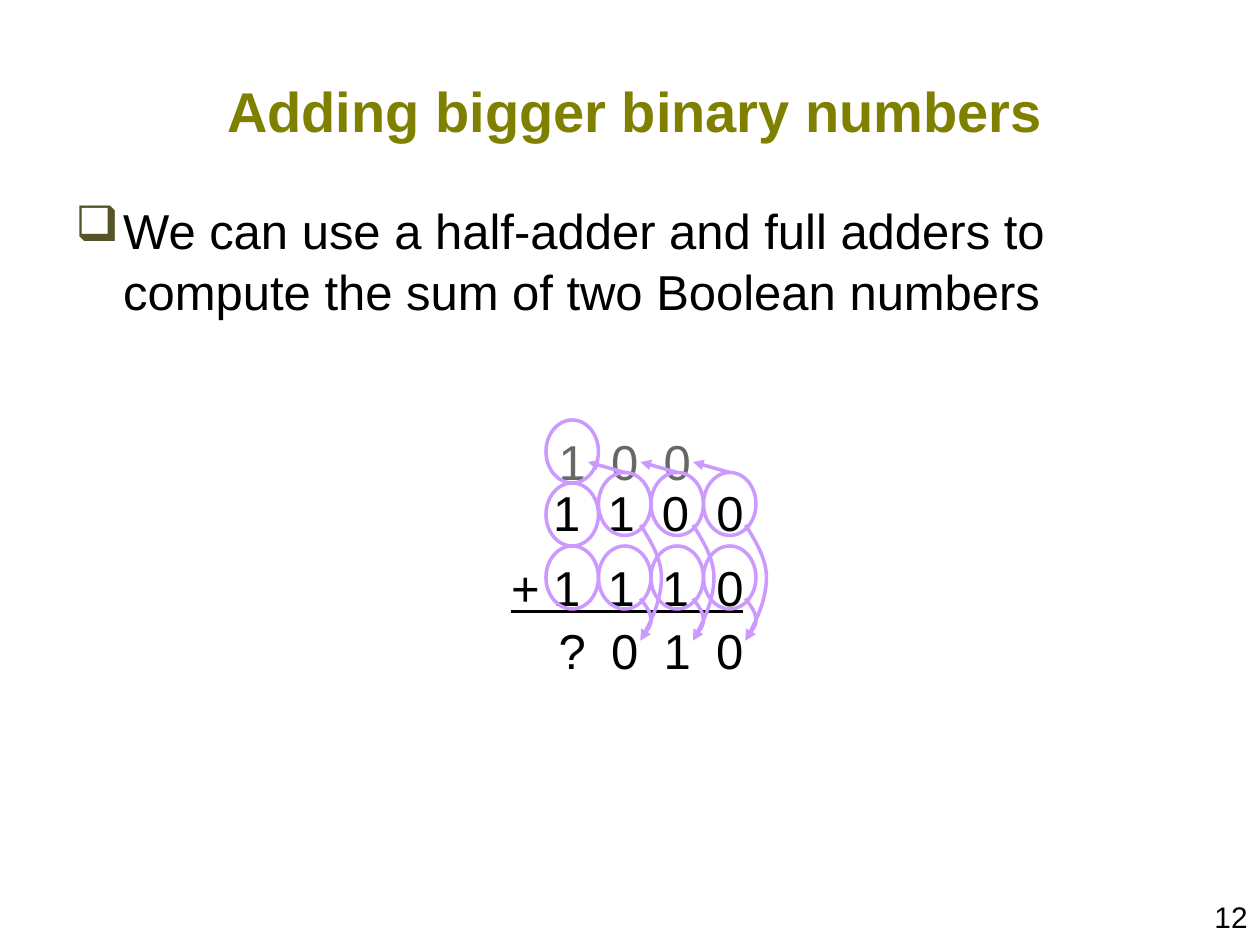
from pptx import Presentation
from pptx.dml.color import RGBColor
from pptx.enum.shapes import MSO_CONNECTOR as CONNECTOR, MSO_SHAPE as SHAPE
from pptx.enum.text import MSO_ANCHOR as ANCHOR, PP_ALIGN as ALIGN
from pptx.oxml import parse_xml
from pptx.oxml.ns import nsdecls
from pptx.oxml.xmlchemy import OxmlElement
from pptx.util import Inches, Pt

presentation = Presentation()
presentation.slide_width, presentation.slide_height = Inches(10), Inches(7.5)
slide = presentation.slides.add_slide(presentation.slide_layouts[5])
shapes = slide.shapes

UNIT = presentation.slide_width // 120
COLUMN = 5
FIRST_COLUMN = 52
LILAC = "CC99FF"


def write(shape, lines, size=28, color="000000", bold=False, align=ALIGN.LEFT,
          anchor=ANCHOR.TOP, top=0.05, gap=0, spacing=1.0, bullet=None, underlined=()):
    frame = shape.text_frame
    frame.word_wrap = True
    frame.vertical_anchor = anchor
    frame.margin_left = frame.margin_right = Inches(0.1)
    frame.margin_top, frame.margin_bottom = Inches(top), Inches(0.05)
    for index, line in enumerate(lines):
        paragraph = frame.add_paragraph() if index else frame.paragraphs[0]
        paragraph.alignment = align
        paragraph.line_spacing = spacing
        paragraph.space_before = Pt(gap if index else 0)
        if bullet:
            properties = paragraph._p.get_or_add_pPr()
            properties.set("marL", str(Inches(0.38)))
            properties.set("indent", str(-Inches(0.38)))
            properties.append(parse_xml(
                f'<a:buClr {nsdecls("a")}><a:srgbClr val="555429"/></a:buClr>'))
            properties.append(parse_xml(f'<a:buChar {nsdecls("a")} char="{bullet}"/>'))
        run = paragraph.add_run()
        run.text = line
        run.font.name, run.font.size, run.font.bold = "Arial", Pt(size), bold
        run.font.color.rgb = RGBColor.from_string(color)
        if index in underlined:
            run.font.underline = True


def outline(shape, arrow=False):
    shape.line.color.rgb = RGBColor.from_string(LILAC)
    shape.line.width = Pt(2)
    if arrow:
        end = OxmlElement("a:tailEnd")
        end.set("type", "triangle")
        shape.line._get_or_add_ln().append(end)
    shape._element.spPr.append(OxmlElement("a:effectLst"))


title = shapes.title
title.left, title.top, title.width, title.height = [UNIT * n for n in (6, 3, 109, 15)]
write(title, ["Adding bigger binary numbers"], size=32, color="808000", bold=True,
      align=ALIGN.CENTER, anchor=ANCHOR.MIDDLE)

number = shapes.add_textbox(UNIT * 92, UNIT * 85, UNIT * 28, UNIT * 5)
write(number, ["12"], size=17, align=ALIGN.RIGHT)

body = shapes.add_textbox(UNIT * 6, UNIT * 18, UNIT * 109, UNIT * 65)
write(body, ["We can use a half-adder and full adders to compute the sum of two Boolean numbers"],
      bullet="❑", top=0.08, spacing=1.03)

operands = shapes.add_textbox(UNIT * 46, UNIT * 45, UNIT * 26, UNIT * 15)
write(operands, ["1  1  0  0", "+ 1  1  1  0"], align=ALIGN.RIGHT, top=0.08, gap=9,
      underlined=(1,))

for digits, row, color in (("?010", 58, "000000"), ("100", 40, "676767")):
    for index, digit in enumerate(digits):
        box = shapes.add_textbox(UNIT * (FIRST_COLUMN + COLUMN * index), UNIT * row,
                                 UNIT * COLUMN, UNIT * 7)
        write(box, [digit], color=color, align=ALIGN.CENTER, top=0.09)

oval_rows = [(40, 46, 52)] + [(45, 52)] * 3
curves = [
    [(0, 57), (0.5, 57.7), (1, 58.3), (1, 59), (1, 59.6), (0.6, 60), (0, 61)],
    [(0, 50), (1, 51.6), (2, 53.2), (2, 55), (2, 56.9), (0.9, 59.5), (0, 61)],
]
for index, rows in enumerate(oval_rows):
    left = FIRST_COLUMN + COLUMN * index
    ovals = []
    for row in rows:
        oval = shapes.add_shape(SHAPE.OVAL, UNIT * left, UNIT * row, UNIT * COLUMN, UNIT * 6)
        oval.fill.background()
        outline(oval)
        ovals.append(oval)
    if index == 0:
        continue

    for points in curves:
        start, *rest = [(round(UNIT * (left + 4 + x)), round(UNIT * y)) for x, y in points]
        builder = shapes.build_freeform(*start)
        builder.add_line_segments(rest, close=False)
        curve = builder.convert_to_shape()
        segments = curve._element.xpath(".//a:lnTo")
        for first in range(0, len(segments), 3):
            bezier = OxmlElement("a:cubicBezTo")
            segments[first].addprevious(bezier)
            for segment in segments[first:first + 3]:
                bezier.append(segment[0])
                segment.getparent().remove(segment)
        curve.fill.background()
        outline(curve, arrow=True)

    carry = shapes.add_connector(CONNECTOR.STRAIGHT, round(UNIT * (left + COLUMN / 2)),
                                 UNIT * 45, UNIT * (left - 1), UNIT * 44)
    carry.begin_connect(ovals[0], 0)
    outline(carry, arrow=True)

presentation.save("out.pptx")
